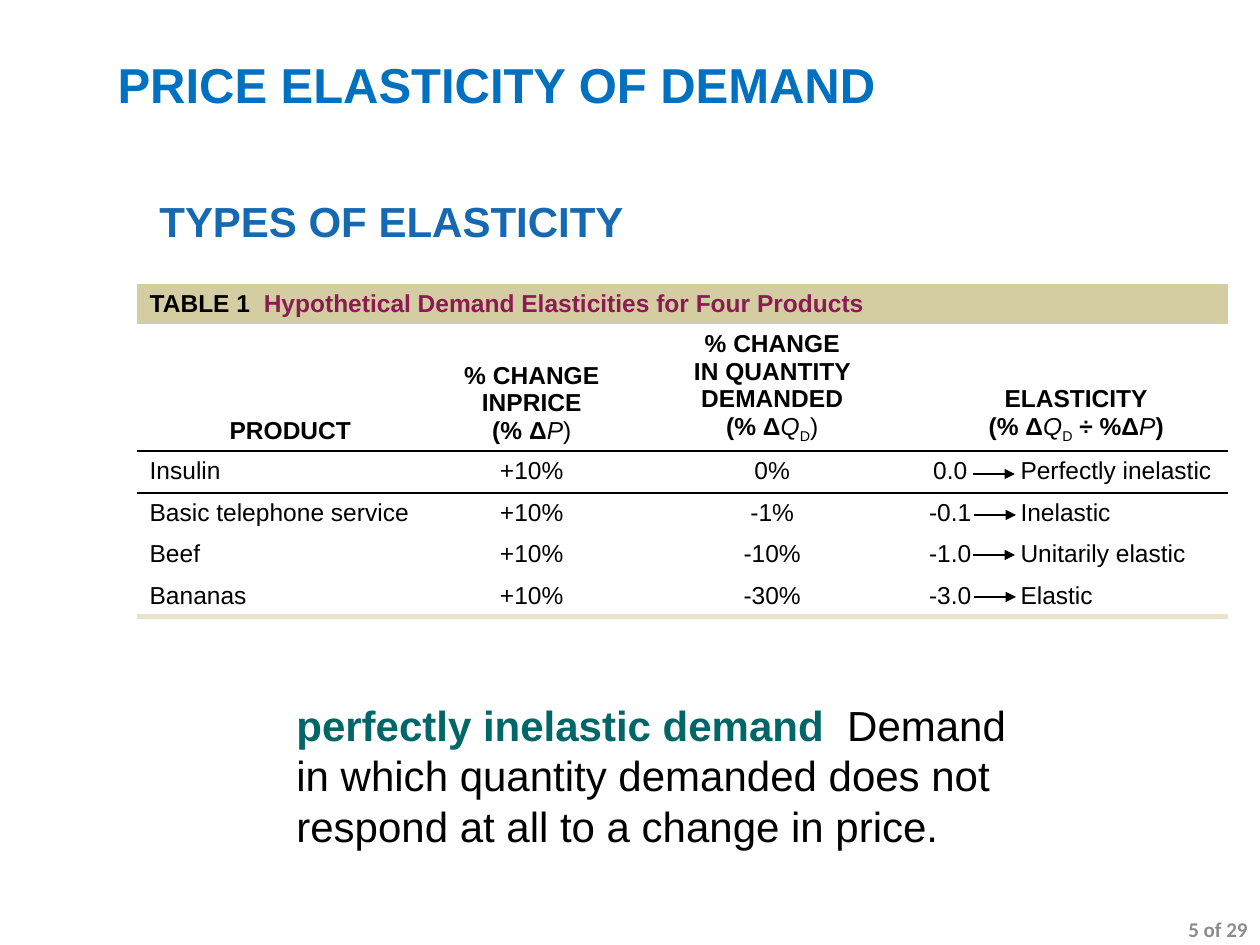
from pptx import Presentation
from pptx import util as u
from pptx.dml.color import RGBColor
from pptx.enum import shapes, text
from pptx.oxml import parse_xml
from pptx.oxml.ns import nsdecls, qn

EMU_PER_PX = 914400 // 126
BLACK = "000000"
PLAIN = {"bold": False}
ITALIC = {"bold": False, "italic": True}
SUB = {"bold": False, "sub": True}
LEFT, CENTER, RIGHT = (text.PP_ALIGN.LEFT, text.PP_ALIGN.CENTER,
                       text.PP_ALIGN.RIGHT)
NO_GRID_STYLE = "{2D5ABB26-0587-4C30-8999-92F81FD0307C}"

COLUMNS = [294, 189, 292, 64, 32, 220]
ROWS = [40, 126, 42, 41, 42, 41]
TABLE_TITLE = [("TABLE 1  ", {}),
               ("Hypothetical Demand Elasticities for Four Products",
                {"color": "8C1B54"})]
HEADERS = [
    [("PRODUCT", {})],
    [("% CHANGE INPRICE\n(% Δ", {}), ("P", ITALIC), (")", PLAIN)],
    [("% CHANGE\nIN QUANTITY DEMANDED\n(% Δ", {}), ("Q", ITALIC),
     ("D", SUB), (")", PLAIN)],
    [("ELASTICITY\n(% Δ", {}), ("Q", ITALIC), ("D", SUB),
     (" ÷ %Δ", {}), ("P", ITALIC), (")", {})],
]
PRODUCTS = [
    ("Insulin", "+10%", "0%", "0.0", "", "Perfectly inelastic"),
    ("Basic telephone service", "+10%", "-1%", "-0.1", "", "Inelastic"),
    ("Beef", "+10%", "-10%", "-1.0", "", "Unitarily elastic"),
    ("Bananas", "+10%", "-30%", "-3.0", "", "Elastic"),
]
ARROWS = [(973, 474), (974, 515), (973, 555), (974, 597)]


def px(n):
    """Turn pixels into EMU."""
    return u.Emu(n * EMU_PER_PX)


def rgb(color):
    """Turn a hex string into a colour."""
    return RGBColor.from_string(color)


def write(tf, runs, size, color=BLACK, bold=False, align=LEFT, font="Arial"):
    """Fill a text frame with one paragraph of (text, style) runs."""
    p = tf.paragraphs[0]
    p.alignment = align
    p.font.name, p.font.size, p.font.bold = font, u.Pt(size), bold
    p.font.color.rgb = rgb(color)
    for words, style in runs:
        for i, line in enumerate(words.split("\n")):
            if i:
                p.add_line_break()
            r = p.add_run()
            r.text = line
            if "bold" in style:
                r.font.bold = style["bold"]
            if "italic" in style:
                r.font.italic = True
            if "color" in style:
                r.font.color.rgb = rgb(style["color"])
            if "sub" in style:
                r._r.get_or_add_rPr().set("baseline", "-25000")


def add_text(slide, box, runs, size, anchor=text.MSO_ANCHOR.TOP, **style):
    """Add a wrapping text box."""
    tf = slide.shapes.add_textbox(*map(px, box)).text_frame
    tf.word_wrap = True
    tf.vertical_anchor = anchor
    write(tf, runs, size, **style)


def set_title(slide, words):
    """Place and format the title placeholder."""
    sp = slide.shapes.title
    sp.left, sp.top, sp.width, sp.height = map(px, (105, 0, 1155, 126))
    tf = sp.text_frame
    tf.vertical_anchor = text.MSO_ANCHOR.BOTTOM
    tf.margin_bottom = u.Inches(0.1)
    write(tf, [(words, {})], 28, "0070C0", bold=True)


def set_border(cell, side, color, points):
    """Draw one side of a cell, side being T or B."""
    cell._tc.get_or_add_tcPr().append(parse_xml(
        f'<a:ln{side} {nsdecls("a")} w="{u.Pt(points)}"><a:solidFill>'
        f'<a:srgbClr val="{color}"/></a:solidFill></a:ln{side}>'))


def fill_cell(cell, runs, align=LEFT, bold=False):
    """Write a table cell on a clear ground."""
    cell.margin_right = 0
    cell.fill.background()
    write(cell.text_frame, runs, 14, bold=bold, align=align)


def add_table(slide):
    """Add the elasticity table."""
    frame = slide.shapes.add_table(len(ROWS), len(COLUMNS), px(137), px(284),
                                   px(sum(COLUMNS)), px(sum(ROWS)))
    table = frame.table
    table.first_row = table.horz_banding = False
    table._tbl.tblPr.find(qn("a:tableStyleId")).text = NO_GRID_STYLE
    for column, width in zip(table.columns, COLUMNS):
        column.width = px(width)
    for row, height in zip(table.rows, ROWS):
        row.height = px(height)
    for c in range(len(COLUMNS)):
        set_border(table.cell(1, c), "B", BLACK, 1)
        set_border(table.cell(2, c), "T", BLACK, 1)
        set_border(table.cell(len(ROWS) - 1, c), "B", "E7E4CB", 3)

    band = table.cell(0, 0)
    band.merge(table.cell(0, 5))
    fill_cell(band, TABLE_TITLE, bold=True)
    band.fill.solid()
    band.fill.fore_color.rgb = rgb("D3CDA1")
    table.cell(1, 3).merge(table.cell(1, 5))
    for c, runs in enumerate(HEADERS):
        cell = table.cell(1, c)
        fill_cell(cell, runs, CENTER, bold=True)
        cell.vertical_anchor = text.MSO_ANCHOR.BOTTOM
    for i, product in enumerate(PRODUCTS, 2):
        for c, value in enumerate(product):
            runs = [(value, {})] if value else []
            fill_cell(table.cell(i, c), runs, LEFT if c in (0, 5) else CENTER)


def add_arrow(slide, x, y):
    """Add a short arrow pointing right."""
    line = slide.shapes.add_connector(shapes.MSO_CONNECTOR.STRAIGHT,
                                      px(x), px(y), px(x + 42), px(y))
    line.line.color.rgb = rgb(BLACK)
    line.line.width = u.Pt(0.75)
    line.line._get_or_add_ln().append(
        parse_xml(f'<a:tailEnd {nsdecls("a")} type="triangle"/>'))
    line._element.spPr.append(parse_xml(f'<a:effectLst {nsdecls("a")}/>'))


def main():
    """Build the slide."""
    prs = Presentation()
    prs.slide_width, prs.slide_height = u.Inches(10), u.Inches(7.5)
    slide = prs.slides.add_slide(prs.slide_layouts[5])
    set_title(slide, "PRICE ELASTICITY OF DEMAND")
    add_table(slide)
    add_text(slide, (1155, 914, 105, 31), [("5 of 29", {})], 12,
             text.MSO_ANCHOR.MIDDLE, color="8C8C8C", bold=True,
             align=RIGHT, font="Calibri")
    add_text(slide, (147, 189, 1018, 63), [("TYPES OF ELASTICITY", {})], 24,
             color="1469B2", bold=True)
    for x, y in ARROWS:
        add_arrow(slide, x, y)
    add_text(slide, (284, 693, 766, 168),
             [("perfectly inelastic demand", {"bold": True, "color": "006668"}),
              ("  Demand in which quantity demanded does not respond "
               "at all to a change in price.", {})], 24)
    prs.save("out.pptx")


main()
